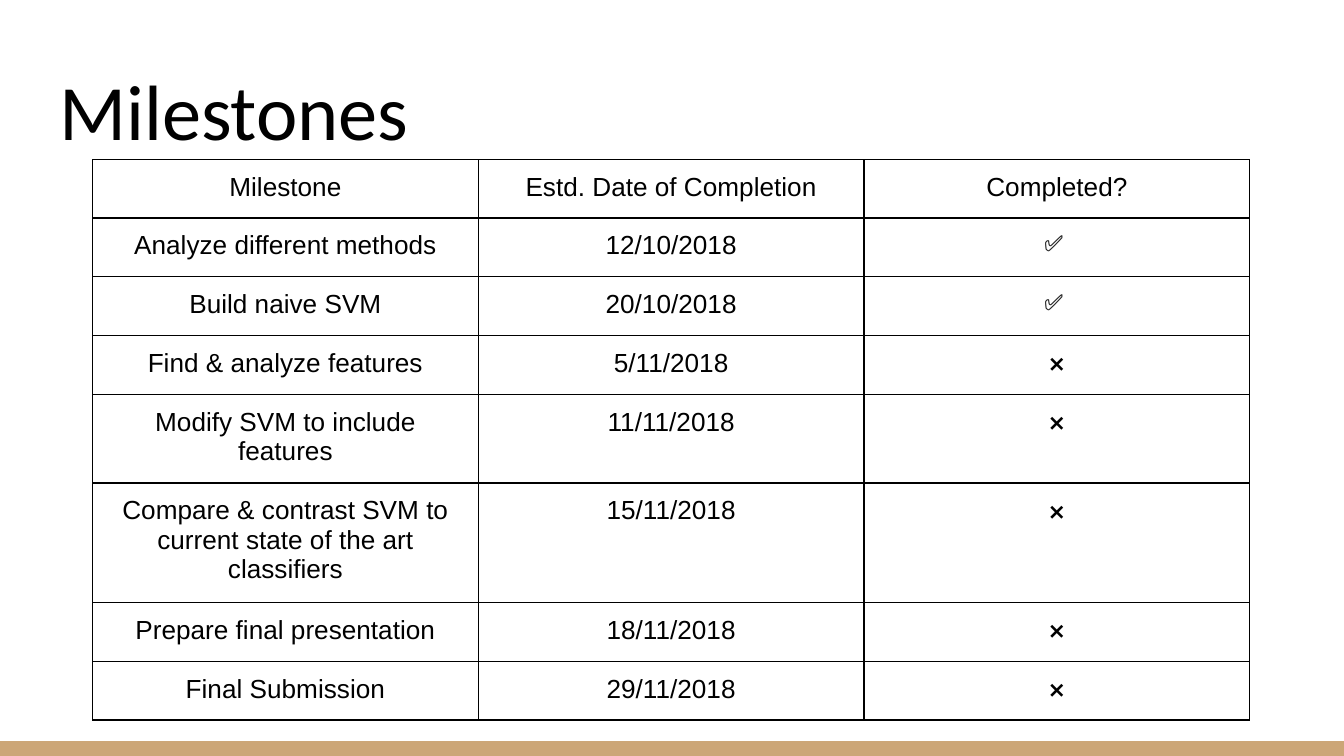
from lxml.etree import SubElement
from pptx import Presentation
from pptx.dml.color import RGBColor as RGB
from pptx.enum.shapes import MSO_SHAPE as SHAPE
from pptx.enum.text import MSO_ANCHOR as ANCHOR, MSO_AUTO_SIZE as AUTO, PP_ALIGN as ALIGN
from pptx.oxml.ns import qn
from pptx.util import Cm, Pt

COLORS = {"text": "000000", "check": "222222", "border": "000000", "band": "CCA677"}
TITLE = "Milestones"
HEADERS = ("Milestone", "Estd. Date of Completion", "Completed?")
MILESTONES = [
    ("Analyze different methods", "12/10/2018", True),
    ("Build naive SVM", "20/10/2018", True),
    ("Find & analyze features", "5/11/2018", False),
    ("Modify SVM to include features", "11/11/2018", False),
    ("Compare & contrast SVM to current state of the art classifiers", "15/11/2018", False),
    ("Prepare final presentation", "18/11/2018", False),
    ("Final Submission", "29/11/2018", False),
]
MARKS = {True: "✅ ", False: "❌"}
ROW_H = [1.1, 1.11, 1.11, 1.11, 1.68, 2.26, 1.11, 1.11]
COL_W = 7.29
INSET = Cm(0.25)
SLIDE_W, SLIDE_H, BAND_H = 25.4, 14.29, 0.28


def color(name):
    return RGB.from_string(COLORS[name])


def set_margins(box):
    box.margin_left = box.margin_right = box.margin_top = box.margin_bottom = INSET


def add_borders(cell):
    tc_pr = cell._tc.get_or_add_tcPr()
    for side in ("a:lnL", "a:lnR", "a:lnT", "a:lnB"):
        ln = SubElement(tc_pr, qn(side), w=str(Pt(0.75)))
        fill = SubElement(ln, qn("a:solidFill"))
        SubElement(fill, qn("a:srgbClr"), val=COLORS["border"])


def fill_cell(cell, text, size=14, ink="text"):
    set_margins(cell)
    cell.vertical_anchor = ANCHOR.TOP
    add_borders(cell)
    cell.fill.background()
    p = cell.text_frame.paragraphs[0]
    p.text = text
    p.alignment = ALIGN.CENTER
    p.font.name, p.font.size = "Arial", Pt(size)
    p.font.color.rgb = color(ink)
    return p


def add_title(s):
    sp = s.shapes.title
    sp.left, sp.top, sp.width, sp.height = Cm(0.87), Cm(0.89), Cm(23.67), Cm(2.31)
    tf = sp.text_frame
    set_margins(tf)
    tf.auto_size = AUTO.NONE
    tf.vertical_anchor = ANCHOR.BOTTOM
    p = tf.paragraphs[0]
    p.text = TITLE
    p.alignment = ALIGN.LEFT
    p.font.name, p.font.size = "Calibri", Pt(42)
    p.font.color.rgb = color("text")


def add_band(s):
    sp = s.shapes.add_shape(SHAPE.RECTANGLE, 0, Cm(SLIDE_H - BAND_H), Cm(SLIDE_W), Cm(BAND_H))
    sp.shadow.inherit = False
    sp.fill.solid()
    sp.fill.fore_color.rgb = color("band")
    sp.line.fill.background()


def add_milestones(s):
    table = s.shapes.add_table(len(ROW_H), len(HEADERS), Cm(1.75), Cm(3.02),
                               Cm(COL_W * len(HEADERS)), Cm(sum(ROW_H))).table
    table.first_row = table.horz_banding = False
    for column in table.columns:
        column.width = Cm(COL_W)
    for row, height in zip(table.rows, ROW_H):
        row.height = Cm(height)
    for c, text in enumerate(HEADERS):
        fill_cell(table.cell(0, c), text)
    for r, (name, date, done) in enumerate(MILESTONES, 1):
        fill_cell(table.cell(r, 0), name)
        fill_cell(table.cell(r, 1), date)
        p = fill_cell(table.cell(r, 2), MARKS[done], 12, "check" if done else "text")
        if not done:
            p.line_spacing, p.space_after = 1.15, Pt(8)


def main():
    prs = Presentation()
    prs.slide_width, prs.slide_height = Cm(SLIDE_W), Cm(SLIDE_H)
    s = prs.slides.add_slide(prs.slide_layouts[5])
    add_band(s)
    add_title(s)
    add_milestones(s)
    prs.save("out.pptx")


if __name__ == "__main__":
    main()
